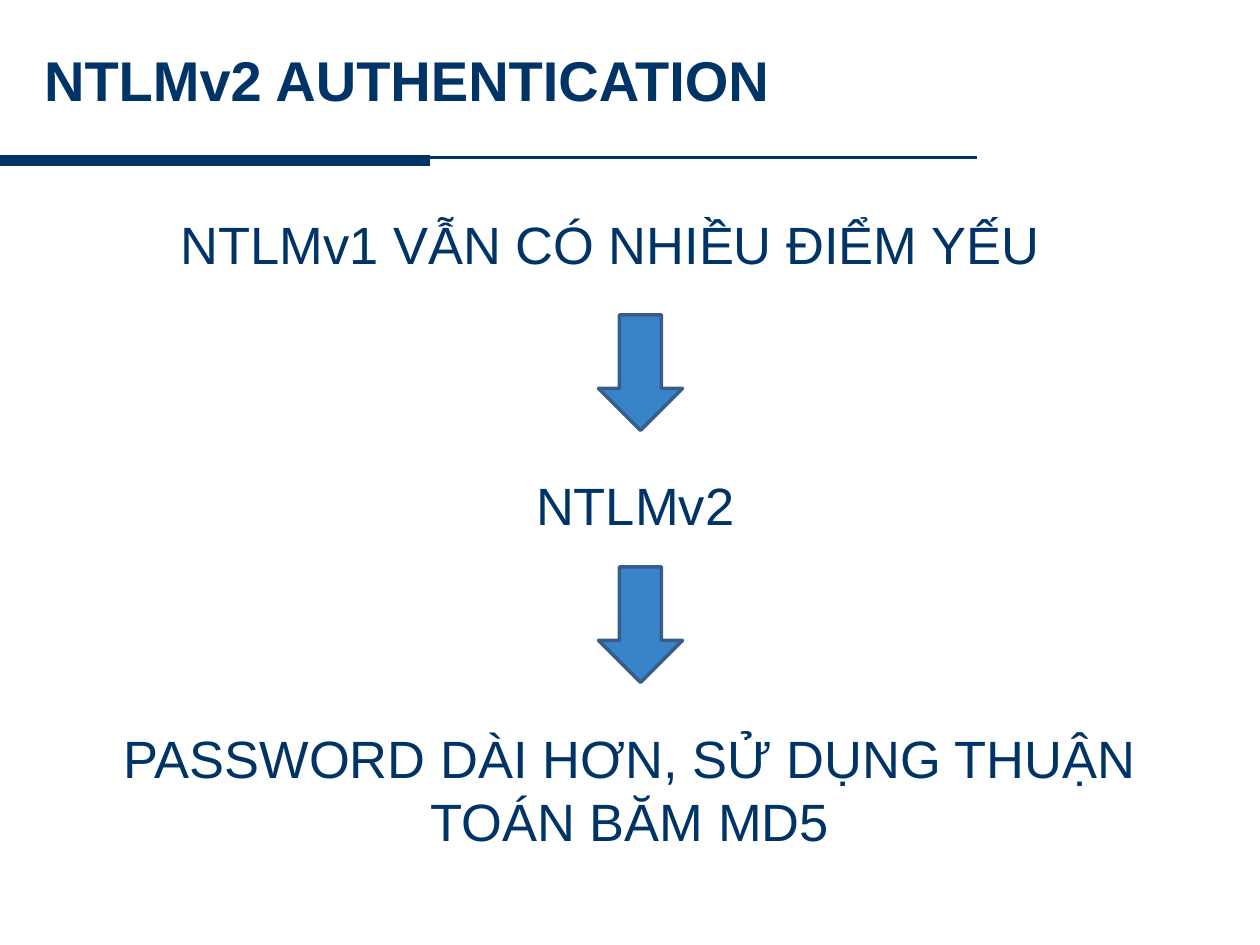
from dataclasses import dataclass

from lxml import etree
from pptx import Presentation
from pptx.dml.color import RGBColor
from pptx.enum.shapes import MSO_CONNECTOR, MSO_SHAPE
from pptx.enum.text import MSO_ANCHOR, PP_ALIGN
from pptx.oxml.ns import qn
from pptx.util import Pt

STRAIGHT = MSO_CONNECTOR.STRAIGHT
DOWN_ARROW = MSO_SHAPE.DOWN_ARROW
MIDDLE = MSO_ANCHOR.MIDDLE
LEFT, CENTER = PP_ALIGN.LEFT, PP_ALIGN.CENTER
TITLE_ONLY = 5


@dataclass(frozen=True)
class Theme:
    navy: RGBColor = RGBColor(0x00, 0x33, 0x66)
    arrow_fill: RGBColor = RGBColor(0x39, 0x84, 0xC9)
    arrow_edge: RGBColor = RGBColor(0x38, 0x5D, 0x8A)
    font: str = "Arial"
    title_size: int = 32
    step_size: int = 30


THEME = Theme()


def set_all(target, values):
    for attribute, value in values.items():
        setattr(target, attribute, value)


def write_text(holder, text, size, align, bold=False):
    frame = holder.text_frame
    frame.text = text
    set_all(frame, {
        "word_wrap": True, "vertical_anchor": MIDDLE,
        "margin_left": Pt(7.2), "margin_right": Pt(7.2),
        "margin_top": Pt(3.6), "margin_bottom": Pt(3.6),
    })
    paragraph = frame.paragraphs[0]
    paragraph.alignment = align
    font = paragraph.runs[0].font
    set_all(font, {"name": THEME.font, "size": Pt(size), "bold": bold})
    font.color.rgb = THEME.navy


def add_rule(slide, left, top, length, weight):
    rule = slide.shapes.add_connector(
        STRAIGHT, Pt(left), Pt(top), Pt(left + length), Pt(top))
    rule.line.color.rgb = THEME.navy
    rule.line.width = Pt(weight)
    etree.SubElement(rule._element.spPr, qn("a:effectLst"))


def add_header(slide, left, top, width, height):
    # Thin rule with a heavy start beneath the title
    add_rule(slide, left, top + 84, 558, 1.5)
    add_rule(slide, left, top + 85.7, 246, 6)

    # Title
    title = slide.shapes.title
    set_all(title, {"left": Pt(left + 18), "top": Pt(top),
                    "width": Pt(width - 42), "height": Pt(height)})
    write_text(title, "NTLMv2 AUTHENTICATION", THEME.title_size, LEFT, bold=True)


def add_arrow(slide, left, top):
    arrow = slide.shapes.add_shape(DOWN_ARROW, Pt(left), Pt(top), Pt(48), Pt(66))
    arrow.shadow.inherit = False
    arrow.fill.solid()
    arrow.fill.fore_color.rgb = THEME.arrow_fill
    arrow.line.color.rgb = THEME.arrow_edge
    arrow.line.width = Pt(2)


def add_steps(slide, left, top, width):
    # Statements: text, alignment, inset from the left, top, width, height
    steps = [
        ("NTLMv1 VẪN CÓ NHIỀU ĐIỂM YẾU", LEFT, 66, 0, 522, 86),
        ("NTLMv2", CENTER, 78, 162, 510, 60),
        ("PASSWORD DÀI HƠN, SỬ DỤNG THUẬN TOÁN BĂM MD5", CENTER, 0, 312, width, 86),
    ]
    for text, align, dx, dy, step_width, step_height in steps:
        step = slide.shapes.add_textbox(
            Pt(left + dx), Pt(top + dy), Pt(step_width), Pt(step_height))
        write_text(step, text, THEME.step_size, align)

    # Arrows between the statements
    for dy in (84, 228):
        add_arrow(slide, left + 312, top + dy)


def main():
    deck = Presentation()
    set_all(deck, {"slide_width": Pt(720), "slide_height": Pt(540)})
    slide = deck.slides.add_slide(deck.slide_layouts[TITLE_ONLY])
    add_header(slide, 0, 6, 720, 78)
    add_steps(slide, 30, 96, 660)
    deck.save("out.pptx")


if __name__ == "__main__":
    main()
